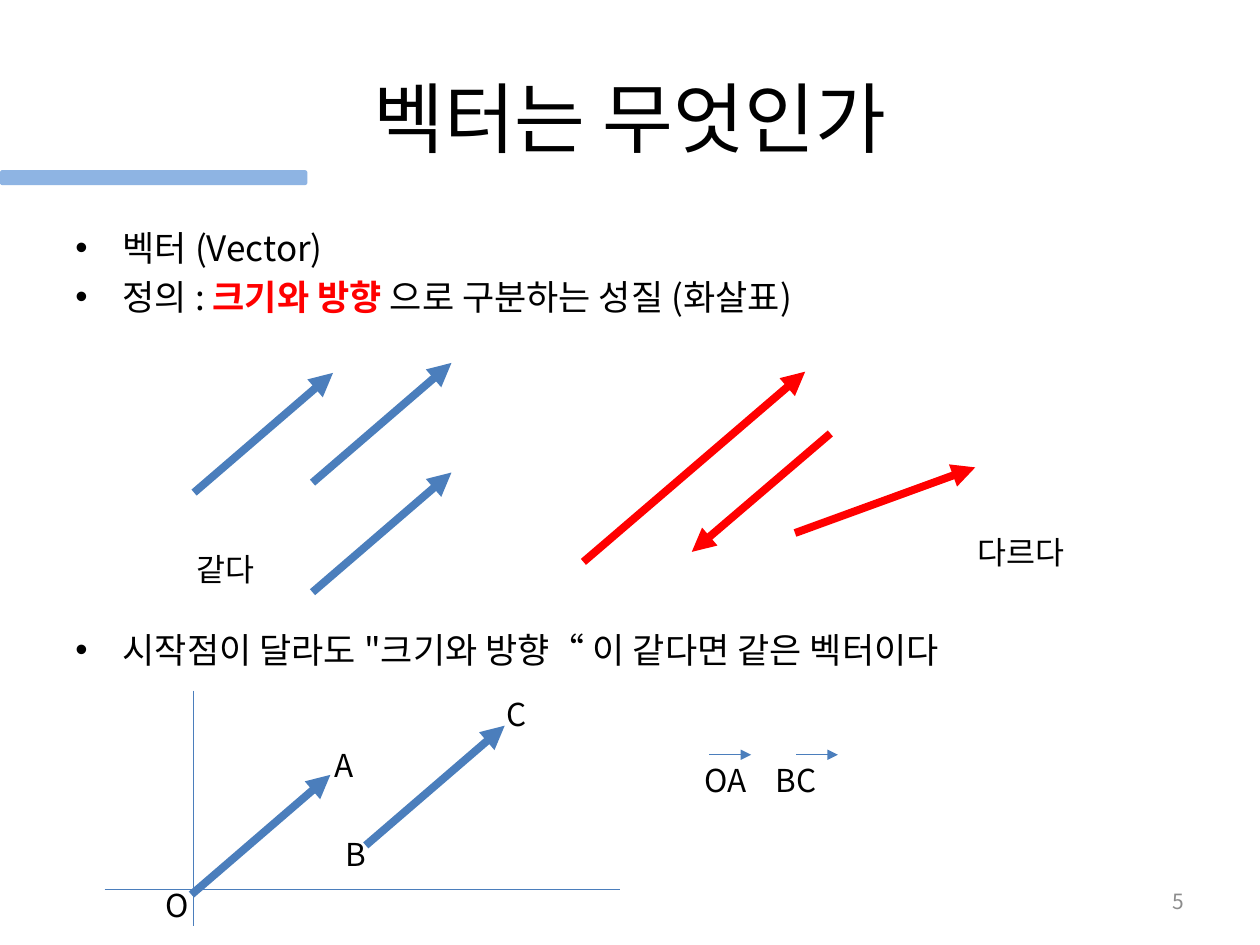
from lxml.etree import SubElement
from pptx import Presentation
from pptx.dml.color import RGBColor
from pptx.enum.shapes import MSO_CONNECTOR as Conn, MSO_SHAPE as Shape
from pptx.enum.text import MSO_ANCHOR as Anchor, MSO_AUTO_SIZE as Auto, PP_ALIGN as Align
from pptx.oxml.ns import qn
from pptx.util import Pt

FONT = "Noto Sans CJK KR"
BLACK, BLUE, RED, GRAY, BAR = "000000", "4B7EBC", "FF0000", "8C8C8C", "8EB4E3"

# Content: a paragraph is a list of (text, color, bold) runs
TITLE = "벡터는 무엇인가"
INTRO = [
    [("벡터 (Vector)", BLACK, False)],
    [("정의 : ", BLACK, False), ("크기와 방향 ", RED, True),
     ("으로 구분하는 성질 (화살표)", BLACK, False)],
]
RULE = [[("시작점이 달라도 \"크기와 방향“ 이 같다면 같은 벡터이다", BLACK, False)]]
LABELS = [  # text, left, top, width
    ("같다", 105.1, 311, 51.1), ("다르다", 551.5, 301, 69.1),
    ("O", 87.8, 502.6, 28.8), ("A", 184.3, 422.6, 26.6),
    ("C", 282.2, 393.8, 25.9), ("B", 190.1, 473.8, 25.2),
]
NAMES = "OA\tBC"

# Vectors: the blue ones share one step and differ only in their start
STEP = (79.4, -68.4)
STARTS = [(110.9, 281.5), (178.6, 275.8), (178.6, 338.4), (109.4, 511.2), (209, 483.1)]
REDS = [(333.4, 321.1, 460.1, 212.4), (474.5, 247.7, 395.3, 315.4),
        (454.3, 304.6, 557.3, 267.1)]
AXES = [(110.6, 394.6, 110.6, 529.2), (59.8, 508.3, 354.2, 508.3)]
MARKS = [(x, 431.3, x + 23.8, 431.3) for x in (405.4, 455)]

deck = Presentation()
deck.slide_width, deck.slide_height = Pt(720), Pt(540)
slide = deck.slides.add_slide(deck.slide_layouts[6])


def rgb(code):
    return RGBColor.from_string(code)


def bullet(para):
    props = para._p.get_or_add_pPr()
    props.set("marL", str(Pt(27)))
    props.set("indent", str(-Pt(27)))
    SubElement(props, qn("a:buFont"), typeface="Arial")
    SubElement(props, qn("a:buChar"), char="•")


def tab_stop(para, pos):
    tabs = SubElement(para._p.get_or_add_pPr(), qn("a:tabLst"))
    SubElement(tabs, qn("a:tab"), pos=str(Pt(pos)), algn="l")


def write(text, left, top, width, height, size=18, color=BLACK, align=Align.LEFT,
          anchor=Anchor.TOP, wrap=True, dots=False, tab=None):
    """Add a text box from a string or from a list of paragraphs."""
    paras = [[(text, color, False)]] if isinstance(text, str) else text
    frame = slide.shapes.add_textbox(Pt(left), Pt(top), Pt(width), Pt(height)).text_frame
    frame.word_wrap = wrap
    frame.auto_size = Auto.NONE if wrap else Auto.SHAPE_TO_FIT_TEXT
    frame.vertical_anchor = anchor
    for i, runs in enumerate(paras):
        para = frame.add_paragraph() if i else frame.paragraphs[0]
        para.alignment = align
        if i:
            para.space_before = Pt(size * 0.2)
        if dots:
            bullet(para)
        if tab:
            tab_stop(para, tab)
        for words, tint, bold in runs:
            run = para.add_run()
            run.text = words
            font = run.font
            font.name, font.size, font.bold = FONT, Pt(size), bold
            font.color.rgb = rgb(tint)
            SubElement(run._r.get_or_add_rPr(), qn("a:ea"), typeface=FONT)


def draw(ends, color=BLUE, width=4.5, arrow=True):
    line = slide.shapes.add_connector(Conn.STRAIGHT, *map(Pt, ends))
    line.line.color.rgb = rgb(color)
    line.line.width = Pt(width)
    if arrow:
        SubElement(line.line._get_or_add_ln(), qn("a:tailEnd"), type="triangle")
    SubElement(line._element.spPr, qn("a:effectLst"))


# Title, accent bar and page number
write(TITLE, 36, 21.6, 648, 90, size=44, align=Align.CENTER, anchor=Anchor.MIDDLE)
bar = slide.shapes.add_shape(Shape.ROUNDED_RECTANGLE, 0, Pt(97.2), Pt(175.7), Pt(8.6))
bar.shadow.inherit = False
bar.fill.solid()
bar.fill.fore_color.rgb = rgb(BAR)
bar.line.fill.background()
write("5", 516.2, 500.4, 167.8, 28.8, size=12, color=GRAY, align=Align.RIGHT,
      anchor=Anchor.MIDDLE)

# Bulleted statements
for text, top in ((INTRO, 126), (RULE, 355.7)):
    write(text, 36, top, 648, 75.6, size=20, dots=True)

# Axes, vectors and the marks over the vector names
for ends in AXES:
    draw(ends, width=0.75, arrow=False)
for x, y in STARTS:
    draw((x, y, x + STEP[0], y + STEP[1]))
for ends in REDS:
    draw(ends, color=RED)
for ends in MARKS:
    draw(ends, width=0.75)

# Labels, then the two vector names on one line
for text, left, top, width in LABELS:
    write(text, left, top, width, 28.8, wrap=False)
write(NAMES, 395.3, 431.3, 87.8, 28.8, tab=40.7)

deck.save("out.pptx")
